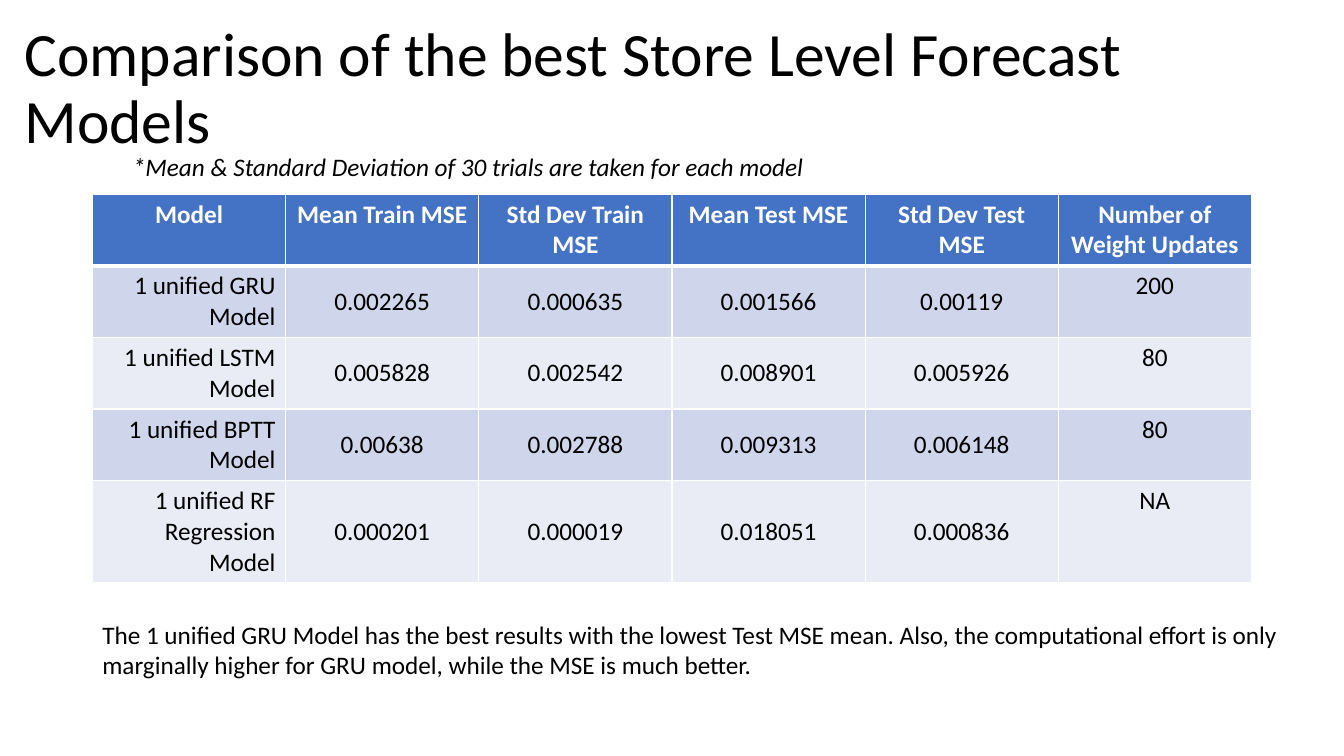
from dataclasses import dataclass

from lxml import etree
from pptx import Presentation
from pptx.dml.color import RGBColor
from pptx.enum.text import MSO_ANCHOR, MSO_AUTO_SIZE, PP_ALIGN
from pptx.oxml.ns import qn
from pptx.util import Cm, Pt

TOP, MIDDLE = MSO_ANCHOR.TOP, MSO_ANCHOR.MIDDLE
LEFT, CENTER, RIGHT = PP_ALIGN.LEFT, PP_ALIGN.CENTER, PP_ALIGN.RIGHT
NO_FIT, GROW = MSO_AUTO_SIZE.NONE, MSO_AUTO_SIZE.SHAPE_TO_FIT_TEXT
TITLE_ONLY = 5


@dataclass
class Theme:
    font: str = "Calibri"
    title: int = 44
    body: int = 18
    text: str = "000000"
    white: str = "FFFFFF"
    header: str = "4472C4"
    bands: tuple = ("CFD5EA", "E9EBF5")
    thin: int = 1
    thick: int = 3


HEADINGS = ["Model", "Mean Train MSE", "Std Dev Train MSE", "Mean Test MSE",
            "Std Dev Test MSE", "Number of Weight Updates"]
RESULTS = [
    ["1 unified GRU Model", "0.002265", "0.000635", "0.001566", "0.00119", "200"],
    ["1 unified LSTM Model", "0.005828", "0.002542", "0.008901", "0.005926", "80"],
    ["1 unified BPTT Model", "0.00638", "0.002788", "0.009313", "0.006148", "80"],
    ["1 unified RF Regression Model", "0.000201", "0.000019", "0.018051", "0.000836", "NA"],
]


class SlideBuilder:
    def __init__(self, prs, theme):
        self.theme = theme
        self.s = prs.slides.add_slide(prs.slide_layouts[TITLE_ONLY])

    def set_text(self, tf, text, size, color, align=LEFT, bold=False, italic=False):
        tf.text = text
        p = tf.paragraphs[0]
        p.alignment = align
        p.font.name = self.theme.font
        p.font.size = Pt(size)
        p.font.bold = bold
        p.font.italic = italic
        p.font.color.rgb = RGBColor.from_string(color)
        return p

    def title(self, text, left, top, width, height):
        sp = self.s.shapes.title
        sp.left, sp.top, sp.width, sp.height = Cm(left), Cm(top), Cm(width), Cm(height)
        tf = sp.text_frame
        tf.auto_size = NO_FIT
        tf.vertical_anchor = MIDDLE
        p = self.set_text(tf, text, self.theme.title, self.theme.text)
        p.line_spacing = 0.9

    def text(self, text, left, top, width, height, italic=False):
        sp = self.s.shapes.add_textbox(Cm(left), Cm(top), Cm(width), Cm(height))
        tf = sp.text_frame
        tf.word_wrap = True
        tf.auto_size = GROW
        self.set_text(tf, text, self.theme.body, self.theme.text, italic=italic)

    def borders(self, cell, top, bottom):
        tc_pr = cell._tc.get_or_add_tcPr()
        thin = self.theme.thin
        for side, width in zip("LRTB", (thin, thin, top, bottom)):
            ln = etree.SubElement(tc_pr, qn(f"a:ln{side}"), w=str(Pt(width)))
            fill = etree.SubElement(ln, qn("a:solidFill"))
            etree.SubElement(fill, qn("a:srgbClr"), val=self.theme.white)

    def table(self, rows, left, top, width, row_height):
        t = self.theme
        n_rows, n_cols = len(rows), len(rows[0])
        table = self.s.shapes.add_table(n_rows, n_cols, Cm(left), Cm(top),
                                        Cm(width), Cm(row_height * n_rows)).table
        for i, row in enumerate(rows):
            is_header = i == 0
            fill = t.header if is_header else t.bands[(i - 1) % 2]
            color = t.white if is_header else t.text
            for j, value in enumerate(row):
                cell = table.cell(i, j)
                align = RIGHT if j == 0 and not is_header else CENTER
                cell.vertical_anchor = TOP if is_header or j == n_cols - 1 else MIDDLE
                self.set_text(cell.text_frame, value, t.body, color, align, bold=is_header)
                self.borders(cell, t.thick if i == 1 else t.thin,
                             t.thick if is_header else t.thin)
                cell.fill.solid()
                cell.fill.fore_color.rgb = RGBColor.from_string(fill)


def main():
    prs = Presentation()
    prs.slide_width, prs.slide_height = Cm(33.87), Cm(19.05)
    b = SlideBuilder(prs, Theme())
    b.title("Comparison of the best Store Level Forecast Models", 0.36, 1.02, 33.1, 2.49)
    b.table([HEADINGS] + RESULTS, 2.33, 4.89, 29.21, 1.03)
    b.text("*Mean & Standard Deviation of 30 trials are taken for each model",
           3.1, 3.69, 21, 1.03, italic=True)
    b.text("The 1 unified GRU Model has the best results with the lowest Test MSE mean. "
           "Also, the computational effort is only marginally higher for GRU model, "
           "while the MSE is much better.", 2.33, 15.47, 30.4, 1.8)
    prs.save("out.pptx")


if __name__ == "__main__":
    main()
